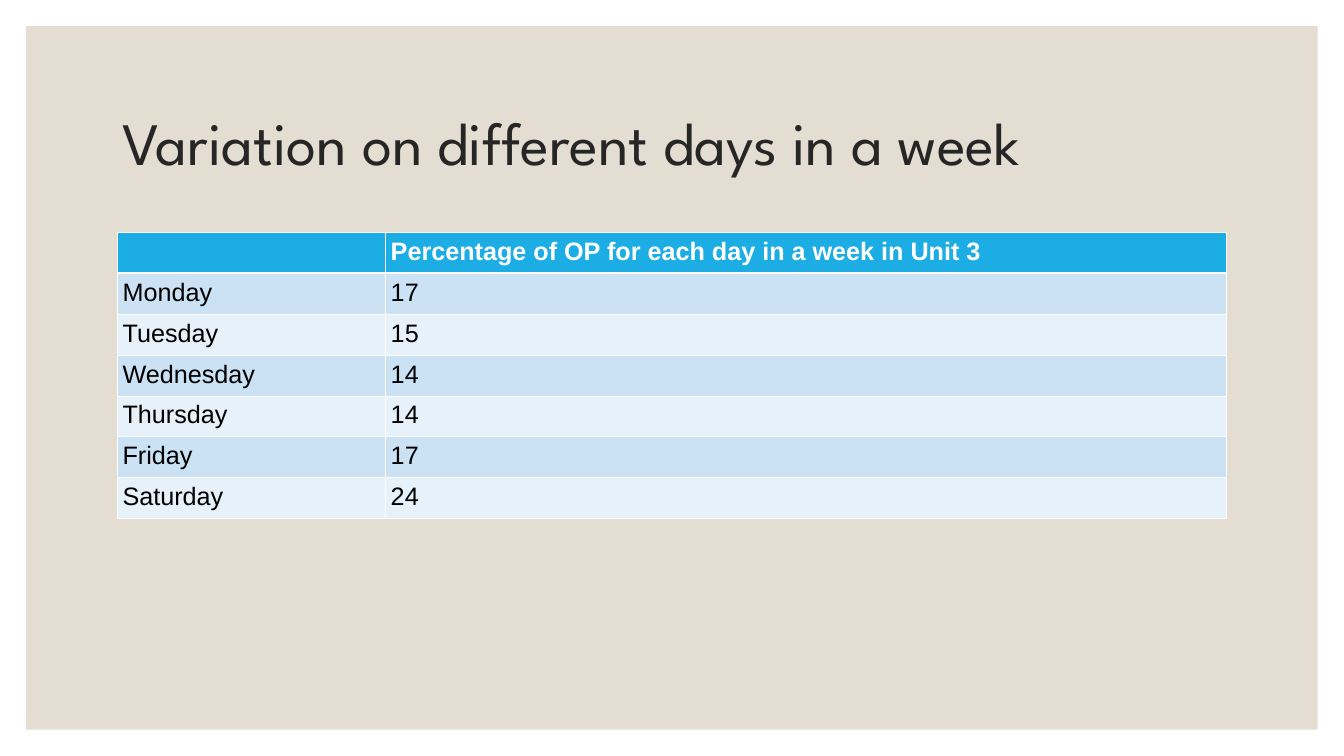
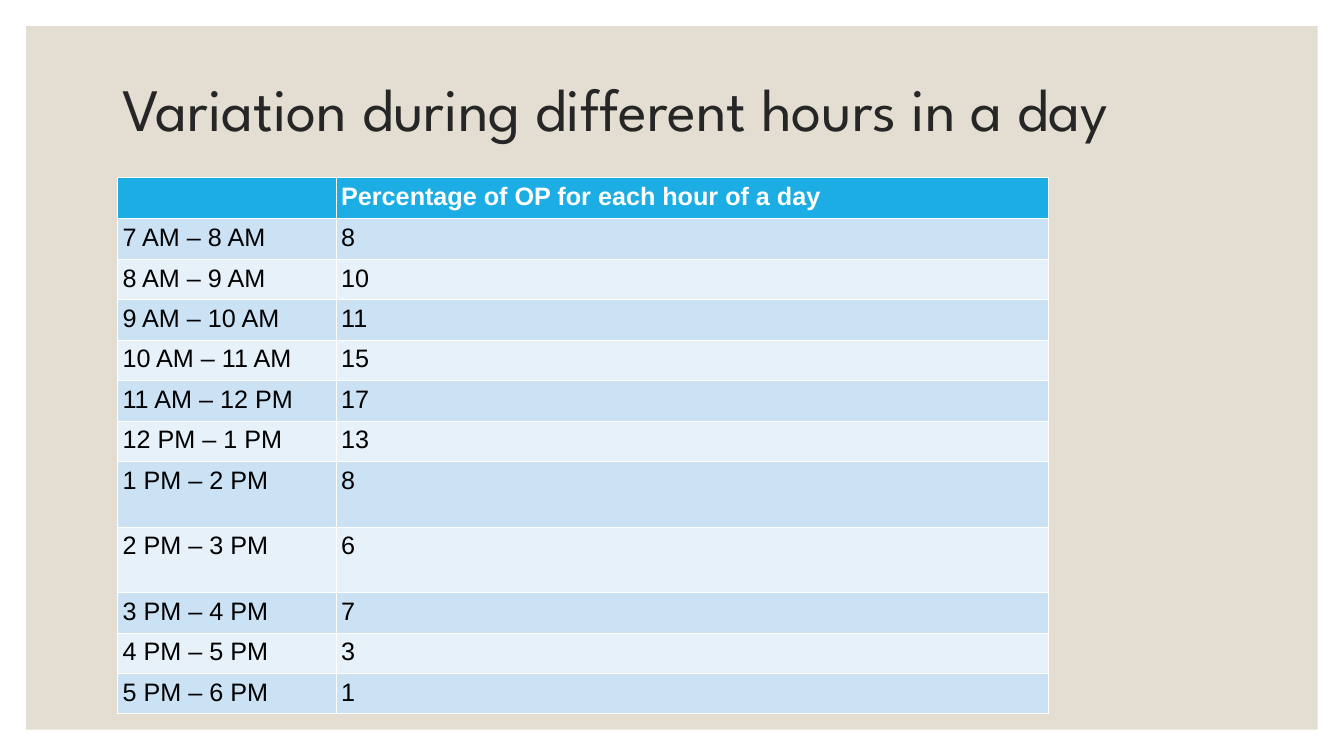
from lxml.etree import SubElement
from pptx import Presentation
from pptx.dml.color import RGBColor
from pptx.enum.shapes import MSO_SHAPE as SHAPE
from pptx.enum.text import MSO_ANCHOR as ANCHOR, MSO_AUTO_SIZE as AUTO_SIZE, PP_ALIGN as ALIGN
from pptx.oxml.ns import qn
from pptx.util import Cm, Pt

WHITE = RGBColor(0xFF, 0xFF, 0xFF)
BLACK = RGBColor(0x00, 0x00, 0x00)
INK = RGBColor(0x26, 0x26, 0x26)
SAND = RGBColor(0xE3, 0xDE, 0xD1)
HEADER = RGBColor(0x1C, 0xAD, 0xE4)
BAND_DARK = RGBColor(0xCB, 0xE2, 0xF5)
BAND_LIGHT = RGBColor(0xE7, 0xF1, 0xFA)

LEFT = Cm(2.96)
INSET = Cm(0.13)
THIN, THICK = Pt(0.45), Pt(1.47)
INSETS = dict.fromkeys(("margin_left", "margin_top", "margin_right", "margin_bottom"), INSET)
TITLE_FRAME = {**INSETS, "word_wrap": True, "auto_size": AUTO_SIZE.NONE,
               "vertical_anchor": ANCHOR.MIDDLE}
TITLE_FONT = {"name": "League Spartan", "size": Pt(43), "bold": False}
CELL_FONT = {"name": "Arial", "size": Pt(18)}

DAYS = [("", "Percentage of OP for each day in a week in Unit 3"),
        ("Monday", "17"), ("Tuesday", "15"), ("Wednesday", "14"),
        ("Thursday", "14"), ("Friday", "17"), ("Saturday", "24")]
HOURS = [("", "Percentage of OP for each hour of a day"),
         ("7 AM – 8 AM", "8"), ("8 AM – 9 AM", "10"), ("9 AM – 10 AM", "11"),
         ("10 AM – 11 AM", "15"), ("11 AM – 12 PM", "17"), ("12 PM – 1 PM", "13"),
         ("1 PM – 2 PM", "8"), ("2 PM – 3 PM", "6"), ("3 PM – 4 PM", "7"),
         ("4 PM – 5 PM", "3"), ("5 PM – 6 PM", "1")]
DAY_HEIGHTS = [1.03] * 7
HOUR_HEIGHTS = [1.02] * 7 + [1.65] * 2 + [1.02] * 3


def set_attrs(obj, values):
    for name, value in values.items():
        setattr(obj, name, value)


def set_font(font, values, color):
    set_attrs(font, values)
    font.color.rgb = color


def add_panel(s, layout):
    panel = s.shapes.add_shape(SHAPE.RECTANGLE, Cm(0.66), Cm(0.66), Cm(32.56), Cm(17.73))
    panel.shadow.inherit = False
    panel.fill.solid()
    panel.fill.fore_color.rgb = SAND
    panel.line.fill.background()
    layout.shapes.element.insert(2, panel.element)


def add_title(s, text, top):
    title = s.shapes.title
    set_attrs(title, {"left": LEFT, "top": top, "width": Cm(27.94), "height": Cm(3.81)})
    tf = title.text_frame
    set_attrs(tf, TITLE_FRAME)
    p = tf.paragraphs[0]
    set_attrs(p, {"alignment": ALIGN.LEFT, "line_spacing": 0.9})
    r = p.add_run()
    r.text = text
    set_font(r.font, TITLE_FONT, INK)


def set_borders(cell, widths):
    tc_pr = cell._tc.get_or_add_tcPr()
    for side, width in widths.items():
        ln = SubElement(tc_pr, qn(f"a:ln{side}"), w=str(int(width)))
        fill = SubElement(ln, qn("a:solidFill"))
        SubElement(fill, qn("a:srgbClr"), val=str(WHITE))


def format_cell(cell, text, row):
    header = row == 0
    set_attrs(cell, INSETS)
    set_borders(cell, {"L": THIN, "R": THIN, "T": THICK if row == 1 else THIN,
                       "B": THICK if header else THIN})
    cell.fill.solid()
    cell.fill.fore_color.rgb = HEADER if header else BAND_DARK if row % 2 else BAND_LIGHT
    p = cell.text_frame.paragraphs[0]
    if text:
        r = p.add_run()
        r.text = text
        set_font(r.font, {**CELL_FONT, "bold": header}, WHITE if header else BLACK)


def add_percent_table(s, rows, top, widths, heights):
    frame = s.shapes.add_table(len(rows), len(widths), LEFT, top,
                               Cm(sum(widths)), Cm(sum(heights)))
    table = frame.table
    table.horz_banding = False
    for column, width in zip(table.columns, widths):
        column.width = Cm(width)
    for i, (row, height) in enumerate(zip(rows, heights)):
        table.rows[i].height = Cm(height)
        for j, text in enumerate(row):
            format_cell(table.cell(i, j), text, i)


def add_table_slide(prs, layout, title, title_top, rows, table_top, widths, heights):
    s = prs.slides.add_slide(layout)
    add_title(s, title, Cm(title_top))
    add_percent_table(s, rows, Cm(table_top), widths, heights)
    return s


def main():
    prs = Presentation()
    set_attrs(prs, {"slide_width": Cm(33.88), "slide_height": Cm(19.05)})
    layout = prs.slide_layouts[5]
    s = add_table_slide(prs, layout, "Variation on different days in a week", 1.78,
                        DAYS, 5.85, (6.76, 21.18), DAY_HEIGHTS)
    add_panel(s, layout)
    add_table_slide(prs, layout, "Variation during different hours in a day", 0.91,
                    HOURS, 4.47, (5.51, 17.96), HOUR_HEIGHTS)
    prs.save("out.pptx")


if __name__ == "__main__":
    main()
